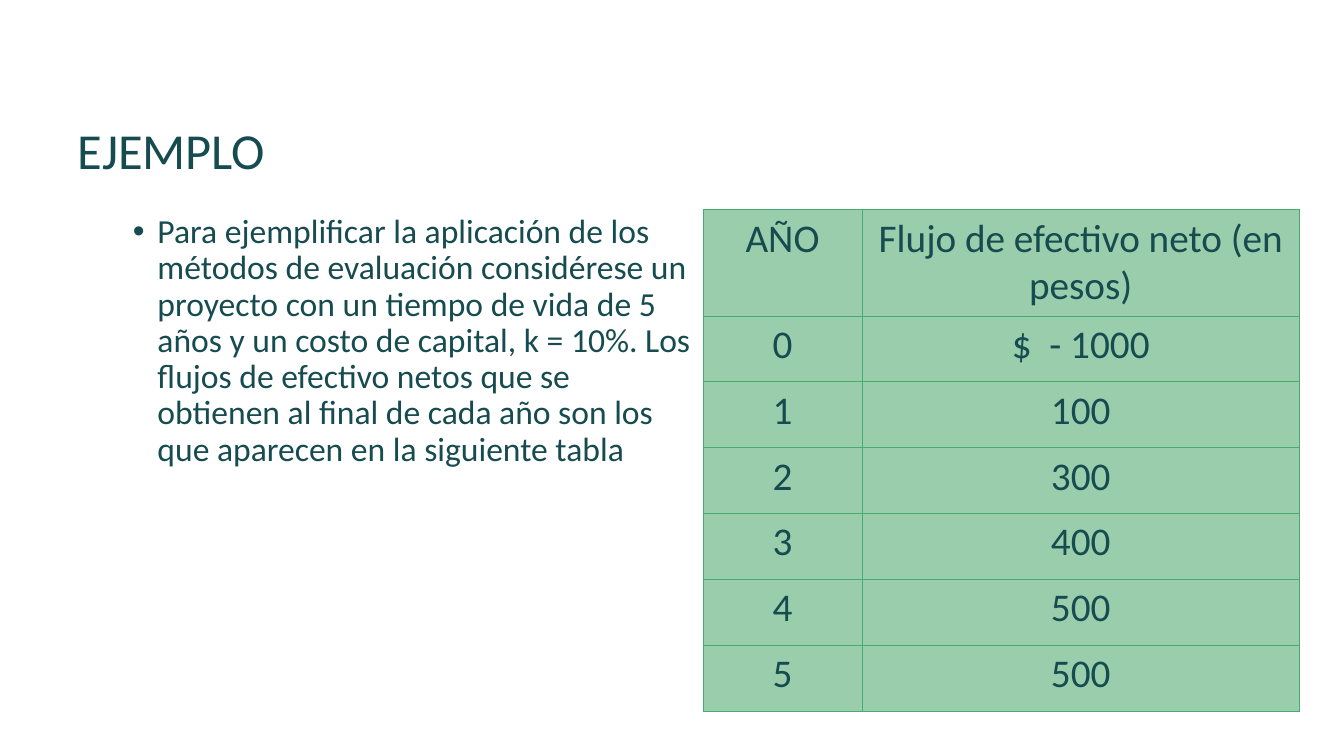
"""Build the example slide with its net cash flow table."""
import pptx
import pptx.dml.color
import pptx.enum.text
import pptx.oxml
import pptx.oxml.ns
import pptx.util
from lxml import etree

Cm = pptx.util.Cm
Pt = pptx.util.Pt
RGBColor = pptx.dml.color.RGBColor
PP_ALIGN = pptx.enum.text.PP_ALIGN
MSO_ANCHOR = pptx.enum.text.MSO_ANCHOR
qn = pptx.oxml.ns.qn

TITLE = "EJEMPLO"
BODY = (
    "Para ejemplificar la aplicación de los métodos de evaluación considérese "
    "un proyecto con un tiempo de vida de 5 años y un costo de capital, k = 10%. "
    "Los flujos de efectivo netos que se obtienen al final de cada año son los "
    "que aparecen en la siguiente tabla"
)
CASH_FLOWS = [
    ("AÑO", "Flujo de efectivo neto (en pesos)"),
    ("0", "$  - 1000"),
    ("1", "100"),
    ("2", "300"),
    ("3", "400"),
    ("4", "500"),
    ("5", "500"),
]

FONT = "Calibri"
TEXT_COLOR = RGBColor(0x16, 0x4B, 0x4F)
CELL_COLOR = RGBColor(0x9A, 0xCD, 0xAB)
BORDER_COLOR = RGBColor(0x46, 0xAC, 0x6F)
WHITE = RGBColor(0xFF, 0xFF, 0xFF)

CONTENT_TOP = Cm(5.28)
COLUMN_WIDTHS = (Cm(4), Cm(11.03))
HEADER_HEIGHT = Cm(2.68)
ROW_HEIGHT = Cm(1.66)


def format_text(paragraph, size, alignment):
    """Apply the slide's font to a paragraph."""
    paragraph.alignment = alignment
    for run in paragraph.runs:
        run.font.name = FONT
        run.font.size = Pt(size)
        run.font.color.rgb = TEXT_COLOR


def add_bullet(paragraph, indent, hanging):
    """Give a paragraph a round bullet with a hanging indent."""
    properties = paragraph._p.get_or_add_pPr()
    properties.set("marL", str(indent))
    properties.set("indent", str(-hanging))
    etree.SubElement(properties, qn("a:buFont")).set("typeface", "Arial")
    etree.SubElement(properties, qn("a:buChar")).set("char", "•")


def add_borders(cell):
    """Draw a thin line on each side of a cell."""
    properties = cell._tc.get_or_add_tcPr()
    for position, side in enumerate(("a:lnL", "a:lnR", "a:lnT", "a:lnB")):
        line = etree.Element(qn(side), w=str(Pt(0.5)))
        fill = etree.SubElement(line, qn("a:solidFill"))
        etree.SubElement(fill, qn("a:srgbClr")).set("val", str(BORDER_COLOR))
        properties.insert(position, line)


def add_title(slide):
    """Place and format the title."""
    title = slide.shapes.title
    title.left, title.top, title.width, title.height = Cm(1.7), Cm(0.69), Cm(31.04), Cm(3.99)
    frame = title.text_frame
    frame.text = TITLE
    frame.vertical_anchor = MSO_ANCHOR.BOTTOM
    frame.paragraphs[0].line_spacing = 0.9
    format_text(frame.paragraphs[0], 36, PP_ALIGN.LEFT)


def add_body(slide):
    """Add the bulleted explanation."""
    body = slide.shapes.add_textbox(Cm(3.1), CONTENT_TOP, Cm(14.55), Cm(11.63))
    frame = body.text_frame
    frame.word_wrap = True
    frame.text = BODY
    paragraph = frame.paragraphs[0]
    paragraph.line_spacing = 0.9
    format_text(paragraph, 24, PP_ALIGN.LEFT)
    add_bullet(paragraph, Cm(0.62), Cm(0.62))


def add_cash_flow_table(slide):
    """Add the table of net cash flows by year."""
    heights = [HEADER_HEIGHT] + [ROW_HEIGHT] * (len(CASH_FLOWS) - 1)
    table = slide.shapes.add_table(
        len(CASH_FLOWS), len(COLUMN_WIDTHS), Cm(17.72), CONTENT_TOP,
        sum(COLUMN_WIDTHS), sum(heights),
    ).table
    table.first_row = False
    table.horz_banding = False
    for column, width in zip(table.columns, COLUMN_WIDTHS):
        column.width = width
    for row, height, values in zip(table.rows, heights, CASH_FLOWS):
        row.height = height
        for cell, value in zip(row.cells, values):
            cell.text_frame.text = value
            cell.margin_left = cell.margin_right = Cm(0.33)
            cell.margin_top = cell.margin_bottom = Cm(0.13)
            cell.fill.solid()
            cell.fill.fore_color.rgb = CELL_COLOR
            format_text(cell.text_frame.paragraphs[0], 28, PP_ALIGN.CENTER)
            add_borders(cell)


def main():
    """Create and save the presentation."""
    presentation = pptx.Presentation()
    presentation.slide_width = Cm(33.87)
    presentation.slide_height = Cm(19.05)
    slide = presentation.slides.add_slide(presentation.slide_layouts[5])
    slide.background.fill.solid()
    slide.background.fill.fore_color.rgb = WHITE
    add_title(slide)
    add_body(slide)
    add_cash_flow_table(slide)
    presentation.save("out.pptx")


if __name__ == "__main__":
    main()
